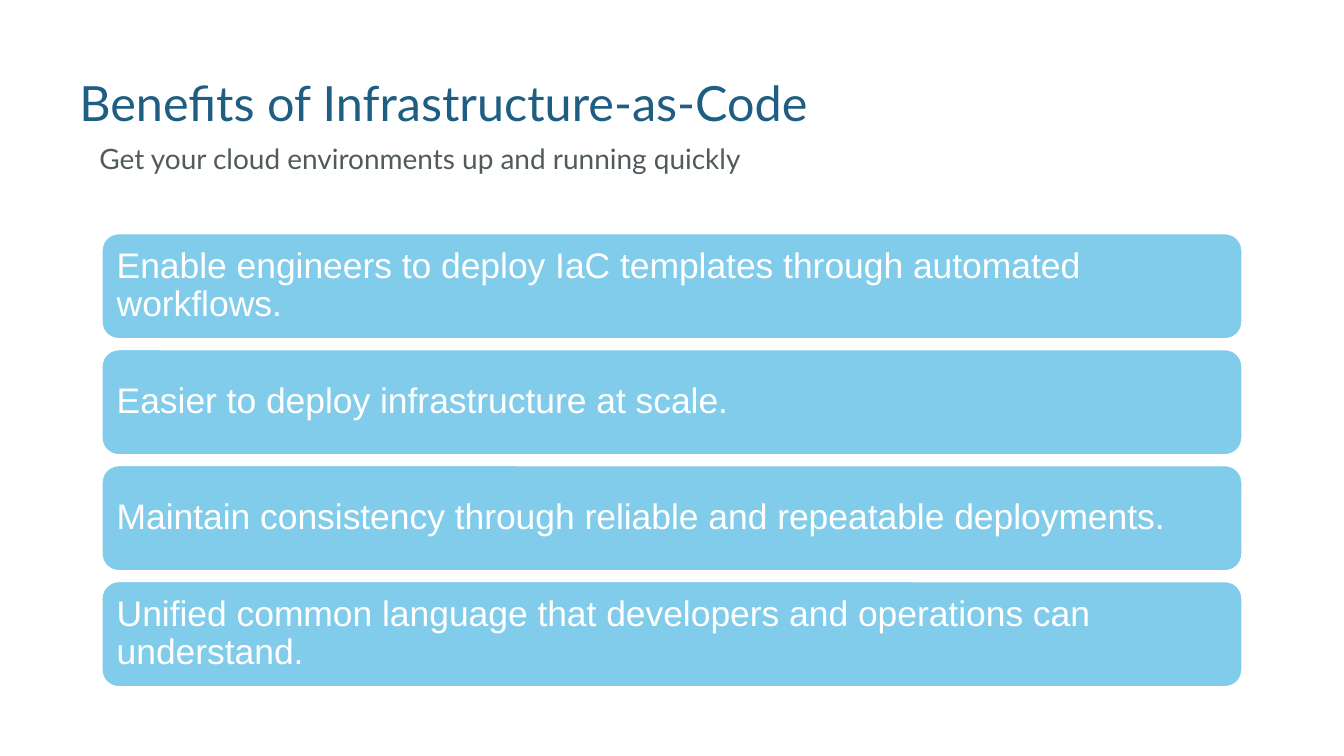
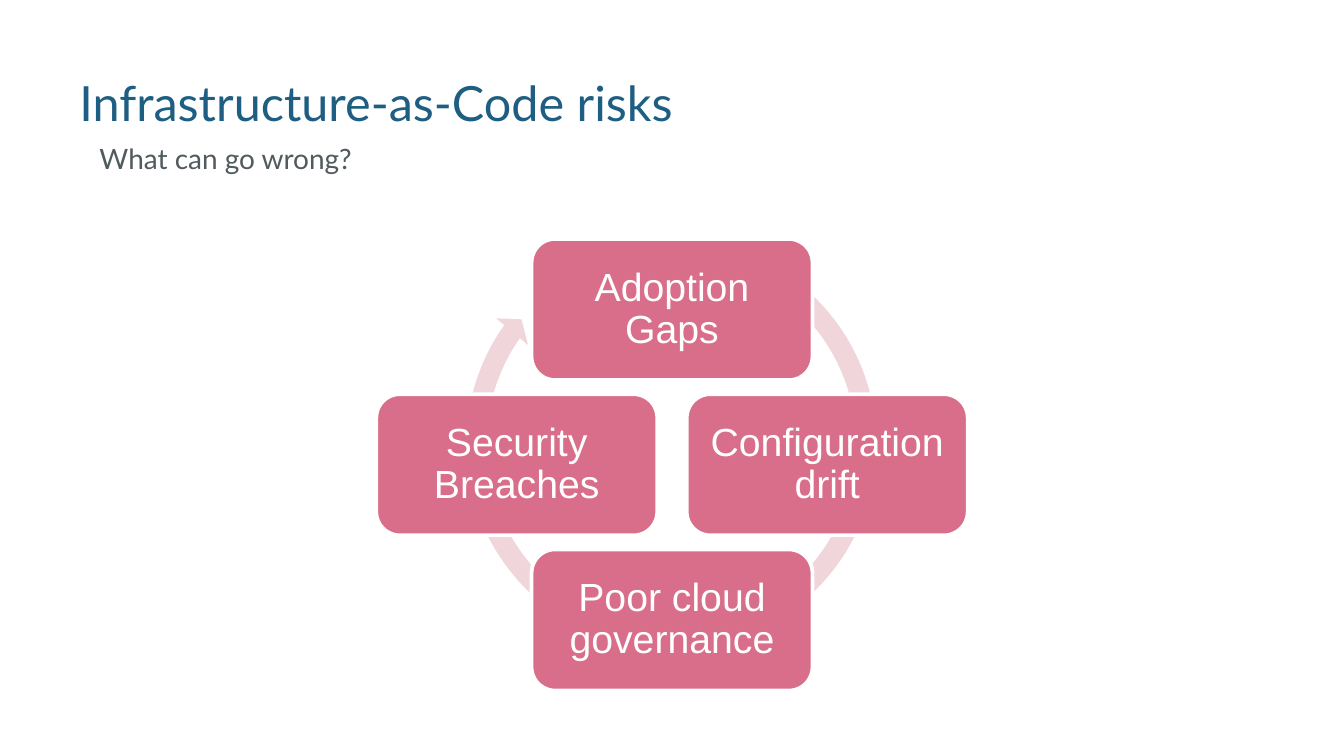
"""Builds two slides on the benefits and risks of infrastructure as code."""
import math

import pptx
import pptx.dml.color
import pptx.enum.shapes
import pptx.enum.text
import pptx.oxml.ns
import pptx.util

ALIGN = pptx.enum.text.PP_ALIGN
ANCHOR = pptx.enum.text.MSO_ANCHOR
SHAPE = pptx.enum.shapes.MSO_SHAPE
WHITE, NAVY, GREY = "FFFFFF", "1E5E82", "515A5D"
SKY, ROSE, BLUSH = "81CCEA", "D86E89", "F0D5DA"


def hue(code):
    return pptx.dml.color.RGBColor.from_string(code)


def write(shape, text, size, color, font="Lato", align=ALIGN.LEFT,
          anchor=ANCHOR.TOP, inset=0.1, indent=None):
    frame = shape.text_frame
    frame.word_wrap = True
    frame.auto_size = pptx.enum.text.MSO_AUTO_SIZE.NONE
    frame.vertical_anchor = anchor
    for side in ("left", "top", "right", "bottom"):
        setattr(frame, f"margin_{side}", pptx.util.Inches(inset))
    frame.text = text
    para = frame.paragraphs[0]
    para.alignment = align
    para.line_spacing = 0.9
    para.space_before = pptx.util.Pt(0)
    if indent:
        props = para._p.get_or_add_pPr()
        for name, value in zip(("marL", "indent"), indent):
            props.set(name, str(pptx.util.Inches(value)))
        props.append(props.makeelement(pptx.oxml.ns.qn("a:buNone"), {}))
    face = para.runs[0].font
    face.name, face.size = font, pptx.util.Pt(size)
    face.color.rgb = hue(color)


class Deck:
    def __init__(self, wide, ratio):
        self.file = pptx.Presentation()
        self.file.slide_width = pptx.util.Inches(wide)
        self.file.slide_height = pptx.util.Inches(wide * ratio)
        self.unit = self.file.slide_width / 100
        self.slide = None

    def scale(self, *spans):
        return [round(span * self.unit) for span in spans]

    def place(self, shape, *box):
        shape.left, shape.top, shape.width, shape.height = self.scale(*box)

    def page(self, title, lead):
        self.slide = self.file.slides.add_slide(self.file.slide_layouts[1])
        head, body = self.slide.placeholders
        self.place(head, 4.9, 4.9, 90.2, 4.9)
        write(head, title, 26, NAVY)
        self.place(body, 4.9, 9.8, 90.2, 3.6)
        write(body, lead, 15, GREY, indent=(0.5, -0.35))

    def shape(self, kind, box, fill):
        item = self.slide.shapes.add_shape(kind, *self.scale(*box))
        item.shadow.inherit = False
        item.fill.solid()
        item.fill.fore_color.rgb = hue(fill)
        item.line.fill.background()
        return item

    def card(self, text, box, fill, size, **style):
        item = self.shape(SHAPE.ROUNDED_RECTANGLE, box, fill)
        item.line.color.rgb = hue(WHITE)
        item.line.width = pptx.util.Pt(2)
        write(item, text, size, WHITE, font="Arial", anchor=ANCHOR.MIDDLE, **style)

    def bars(self, texts):
        for row, text in enumerate(texts):
            self.card(text, (7.5, 17.3 + row * 8.63, 85, 8), SKY, 19, inset=0.08)

    def cycle(self, texts):
        ring = self.shape(SHAPE.CIRCULAR_ARROW, (33.9, 17, 32.1, 32.1), BLUSH)
        for slot, share in enumerate((4.7, 272.9, 12915.4, 17973.8, 4.8)):
            ring.adjustments[slot] = share / 100
        wide, high, reach = 20.9, 10.5, 11.55
        for step, text in enumerate(texts):
            turn = math.tau * step / len(texts)
            left = 50 + reach * math.sin(turn) - wide / 2
            top = 34.58 - reach * math.cos(turn) - high / 2
            self.card(text, (left, top, wide, high), ROSE, 21,
                      align=ALIGN.CENTER, inset=0.09)


def main():
    deck = Deck(10, 9 / 16)
    deck.page("Benefits of Infrastructure-as-Code",
              "Get your cloud environments up and running quickly")
    deck.bars([
        "Enable engineers to deploy IaC templates through automated workflows.",
        "Easier to deploy infrastructure at scale.",
        "Maintain consistency through reliable and repeatable deployments.",
        "Unified common language that developers and operations can understand.",
    ])
    deck.page("Infrastructure-as-Code risks", "What can go wrong?")
    deck.cycle(["Adoption Gaps", "Configuration drift",
                "Poor cloud governance", "Security Breaches"])
    deck.file.save("out.pptx")


if __name__ == "__main__":
    main()
